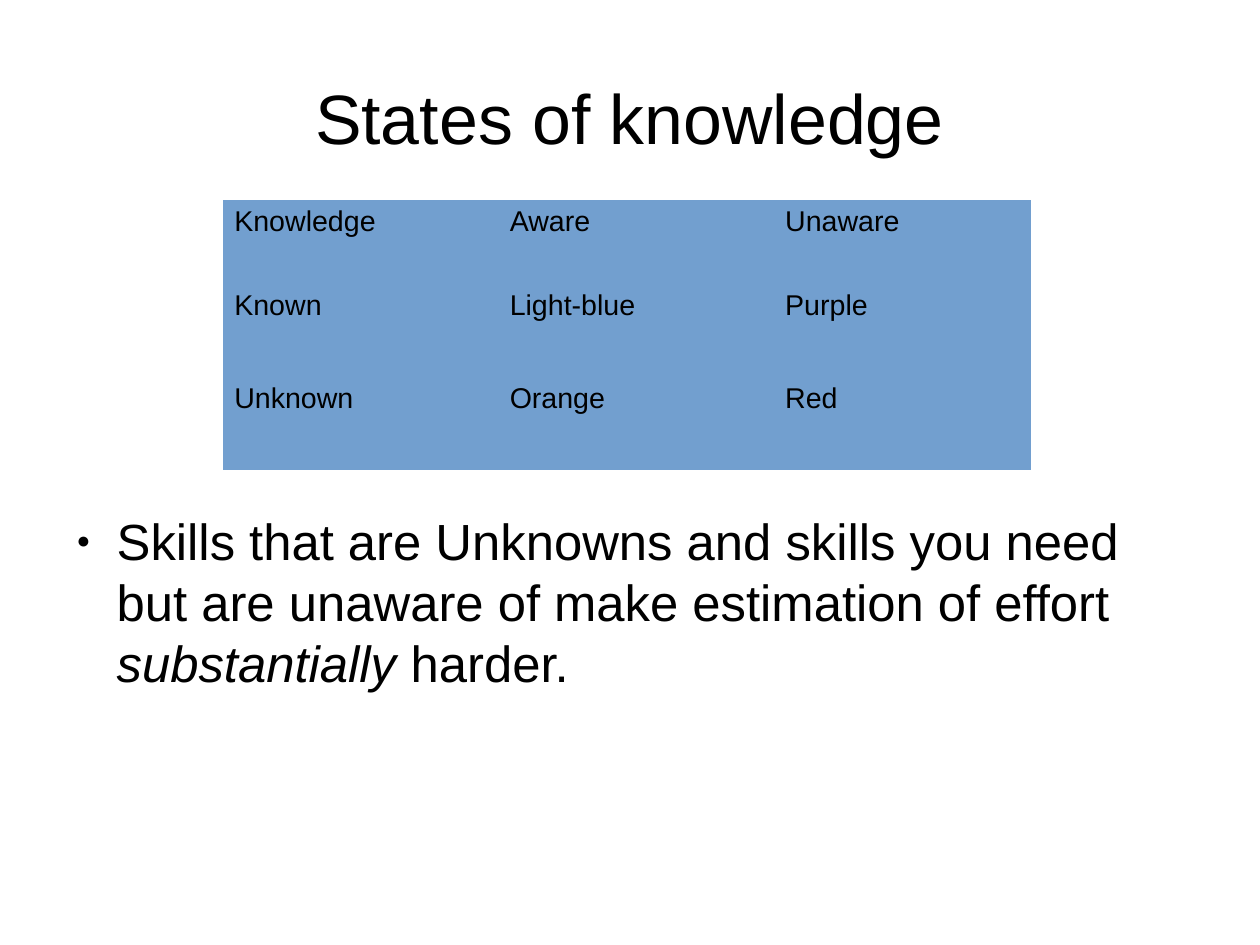
from lxml import etree
from pptx import Presentation
from pptx.dml.color import RGBColor
from pptx.enum.text import MSO_ANCHOR, PP_ALIGN
from pptx.oxml.ns import qn
from pptx.util import Cm, Inches, Pt

CENTER, MIDDLE, TOP = PP_ALIGN.CENTER, MSO_ANCHOR.MIDDLE, MSO_ANCHOR.TOP

TITLE = "States of knowledge"
STATES = [
    ("Knowledge", "Aware", "Unaware"),
    ("Known", "Light-blue", "Purple"),
    ("Unknown", "Orange", "Red"),
]
BULLET_RUNS = [
    ("Skills that are Unknowns and skills you need but are unaware of "
     "make estimation of effort ", False),
    ("substantially", True),
    (" harder.", False),
]

FONT, BLACK, BLUE = "Arial", "000000", "729FCF"
NO_STYLE_NO_GRID = "{2D5ABB26-0587-4C30-8999-92F81FD0307C}"
SLIDE_WIDTH, SLIDE_HEIGHT = Cm(28), Cm(21)
MARGIN = int(SLIDE_WIDTH * 0.05)
CONTENT_WIDTH = int(SLIDE_WIDTH * 0.9)
TITLE_TOP, TITLE_HEIGHT = int(SLIDE_HEIGHT * 0.04), Inches(1.38)
BULLET_TOP, BULLET_HEIGHT = Inches(4.46), Inches(2.26)
TABLE_LEFT, TABLE_TOP = Inches(1.95), Inches(1.75)
COLUMN_WIDTHS = (2.41, 2.41, 2.25)
ROW_HEIGHTS = (0.73, 0.82, 0.81)


def color(value):
    return RGBColor.from_string(value)


def style(font, size, italic=False):
    font.name, font.size, font.italic = FONT, Pt(size), italic
    font.color.rgb = color(BLACK)


def add_text_frame(slide, top, height, anchor):
    """Add a text box across the content width, without insets."""
    box = slide.shapes.add_textbox(MARGIN, top, CONTENT_WIDTH, height)
    frame = box.text_frame
    frame.word_wrap = True
    frame.vertical_anchor = anchor
    frame.margin_left = frame.margin_right = 0
    frame.margin_top = frame.margin_bottom = 0
    return frame


def add_bullet(paragraph):
    properties = paragraph._p.get_or_add_pPr()
    properties.set("marL", str(Inches(0.47)))
    properties.set("indent", str(Inches(-0.35)))
    for tag, name, value in (("a:buSzPct", "val", "45000"),
                             ("a:buFont", "typeface", FONT),
                             ("a:buChar", "char", "●")):
        etree.SubElement(properties, qn(tag)).set(name, value)


def add_states_table(slide):
    frame = slide.shapes.add_table(
        len(STATES), len(COLUMN_WIDTHS), TABLE_LEFT, TABLE_TOP,
        Inches(sum(COLUMN_WIDTHS)), Inches(sum(ROW_HEIGHTS)))
    table = frame.table
    table.first_row = table.horz_banding = False
    next(table._tbl.iter(qn("a:tableStyleId"))).text = NO_STYLE_NO_GRID
    for column, width in zip(table.columns, COLUMN_WIDTHS):
        column.width = Inches(width)
    for row, height, words in zip(table.rows, ROW_HEIGHTS, STATES):
        row.height = Inches(height)
        for cell, word in zip(row.cells, words):
            cell.text_frame.text = word
            style(cell.text_frame.paragraphs[0].runs[0].font, 18)
            cell.fill.solid()
            cell.fill.fore_color.rgb = color(BLUE)


def main():
    presentation = Presentation()
    presentation.slide_width = SLIDE_WIDTH
    presentation.slide_height = SLIDE_HEIGHT
    slide = presentation.slides.add_slide(presentation.slide_layouts[6])

    title = add_text_frame(slide, TITLE_TOP, TITLE_HEIGHT, MIDDLE)
    title.text = TITLE
    title.paragraphs[0].alignment = CENTER
    style(title.paragraphs[0].runs[0].font, 44)

    body = add_text_frame(slide, BULLET_TOP, BULLET_HEIGHT, TOP)
    paragraph = body.paragraphs[0]
    add_bullet(paragraph)
    for words, italic in BULLET_RUNS:
        run = paragraph.add_run()
        run.text = words
        style(run.font, 32, italic)

    add_states_table(slide)
    presentation.save("out.pptx")


if __name__ == "__main__":
    main()
